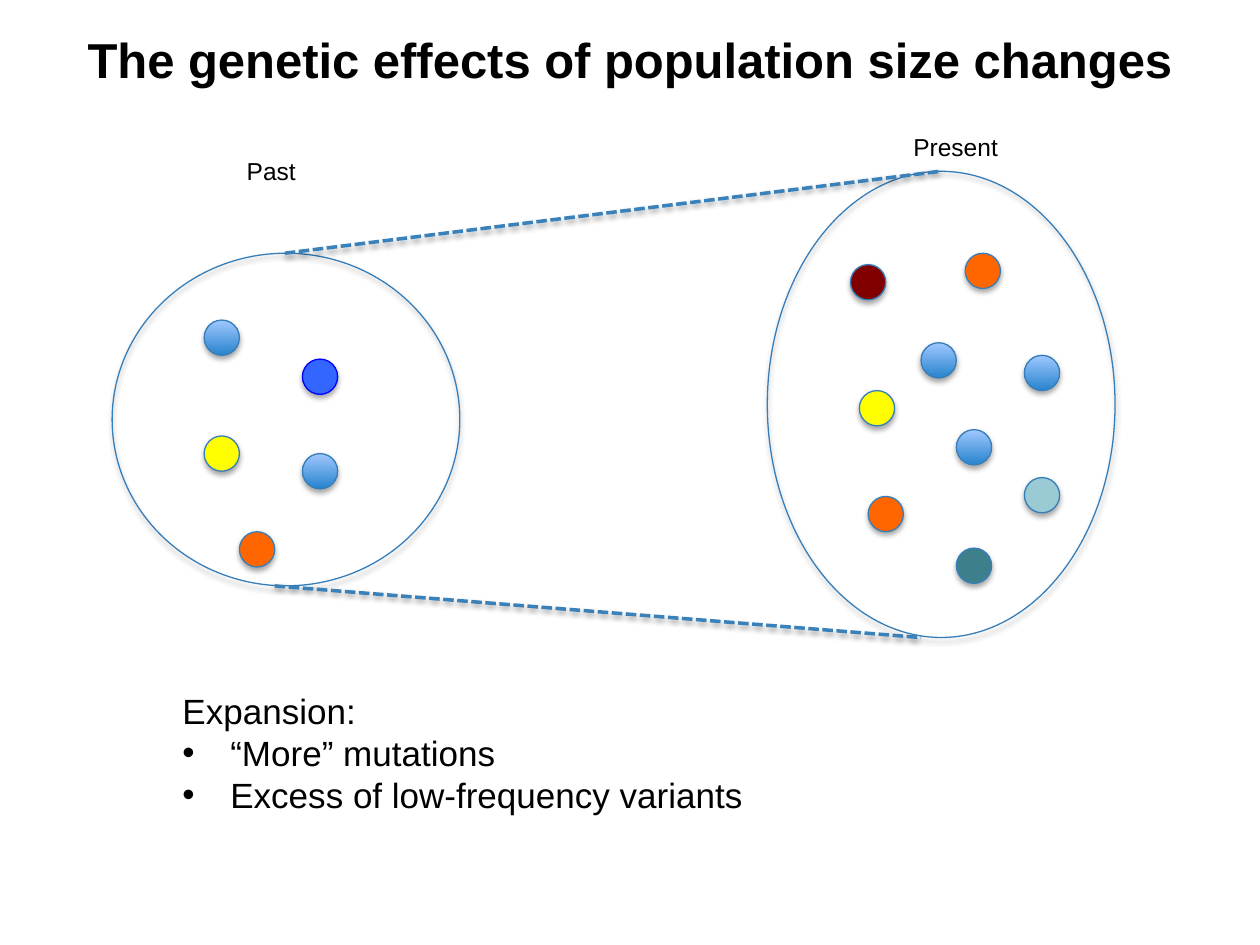
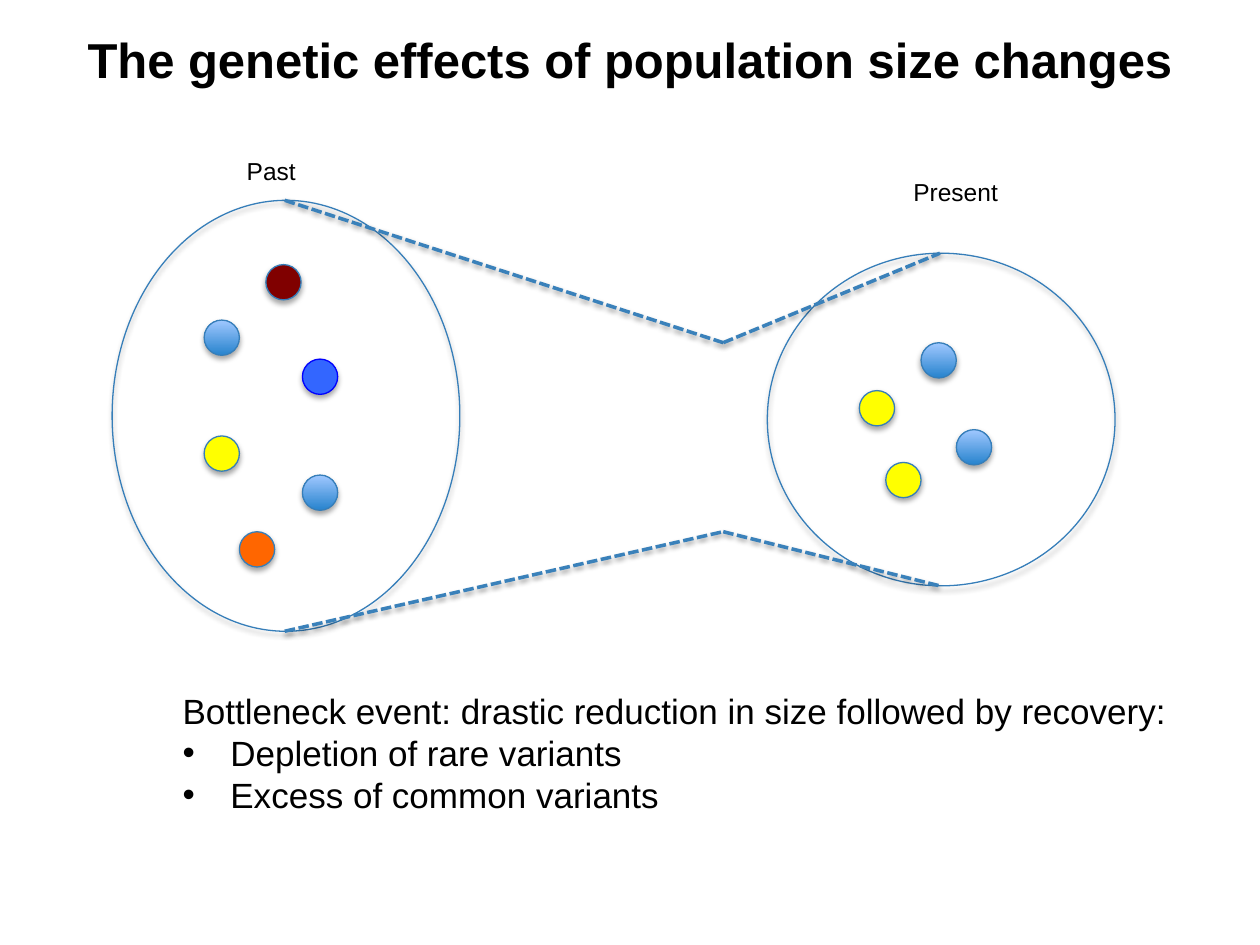
from lxml import etree
from pptx import Presentation
from pptx.dml.color import RGBColor
from pptx.enum.dml import MSO_LINE
from pptx.enum.shapes import MSO_CONNECTOR, MSO_SHAPE
from pptx.enum.text import MSO_ANCHOR, MSO_AUTO_SIZE, PP_ALIGN
from pptx.oxml.ns import qn
from pptx.util import Inches, Pt

OVAL = MSO_SHAPE.OVAL
STRAIGHT = MSO_CONNECTOR.STRAIGHT
DASH = MSO_LINE.SQUARE_DOT
CENTER = PP_ALIGN.CENTER
MIDDLE = MSO_ANCHOR.MIDDLE
GROW = MSO_AUTO_SIZE.SHAPE_TO_FIT_TEXT

FONT = "Arial"
TITLE = "The genetic effects of population size changes"
BLACK, OUTLINE, LINK = "000000", "367EB9", "3A81BA"
MAROON, ORANGE, YELLOW, BLUE = "800000", "FF6600", "FFFF00", "3366FF"
TEAL, PALE_TEAL, BLUE_EDGE = "3D808C", "9ACAD3", "0000FF"
SHADED = ("2783CD", "A0C8FF")  # gradient from bottom to top

PAST_LEFT, PRESENT_LEFT, POPULATION_WIDTH = 0.89, 6.09, 2.76
DOT_SIZE = 0.28
PAST_TOP_X, PRESENT_TOP_X = 2.26, 7.46
NECK_X = 5.74

# Variants (left, top, fill) that both slides show
PAST_DOTS = [(1.62, 2.54, SHADED), (2.4, 2.85, BLUE), (1.62, 3.46, YELLOW), (1.9, 4.22, ORANGE)]
PRESENT_DOTS = [(7.31, 2.72, SHADED), (6.82, 3.1, YELLOW), (7.59, 3.41, SHADED)]


def color(hex_string):
    return RGBColor.from_string(hex_string)


def add_shadow(shape, opacity, distance):
    """Give a shape a soft shadow straight below it."""
    effects = etree.SubElement(shape._element.spPr, qn("a:effectLst"))
    shadow = etree.SubElement(effects, qn("a:outerShdw"), blurRad=str(Pt(3.1)),
                              dist=str(Pt(distance)), dir="5400000", rotWithShape="0")
    black = etree.SubElement(shadow, qn("a:srgbClr"), val=BLACK)
    etree.SubElement(black, qn("a:alpha"), val=str(opacity * 1000))


class Deck:
    def __init__(self):
        self.presentation = Presentation()
        self.presentation.slide_width = Inches(10)
        self.presentation.slide_height = Inches(7.5)
        self.slide = None

    def add_slide(self):
        self.slide = self.presentation.slides.add_slide(self.presentation.slide_layouts[6])
        title = self.text(0, 0.14, 10, 0.66, [TITLE], 28, bold=True)
        title.word_wrap = True
        title.auto_size = MSO_AUTO_SIZE.NONE
        title.vertical_anchor = MIDDLE
        title.margin_top = title.margin_bottom = Inches(0.1)
        title.paragraphs[0].alignment = CENTER

    def text(self, left, top, width, height, lines, size, bold=False):
        """Write a first line and, below it, bulleted lines."""
        box = self.slide.shapes.add_textbox(Inches(left), Inches(top),
                                            Inches(width), Inches(height))
        frame = box.text_frame
        frame.word_wrap = False
        frame.auto_size = GROW
        for index, line in enumerate(lines):
            paragraph = frame.add_paragraph() if index else frame.paragraphs[0]
            if index:
                self.bullet(paragraph)
            run = paragraph.add_run()
            run.text = line
            run.font.name = FONT
            run.font.size = Pt(size)
            run.font.bold = bold
            run.font.color.rgb = color(BLACK)
        return frame

    def bullet(self, paragraph):
        properties = paragraph._p.get_or_add_pPr()
        properties.set("marL", str(Inches(0.38)))
        properties.set("indent", str(-Inches(0.38)))
        etree.SubElement(properties, qn("a:buFont"), typeface=FONT)
        etree.SubElement(properties, qn("a:buChar"), char="•")

    def ellipse(self, left, top, width, height, fill=None):
        shape = self.slide.shapes.add_shape(OVAL, Inches(left), Inches(top),
                                            Inches(width), Inches(height))
        if fill is None:
            shape.fill.background()
        elif fill == SHADED:
            shape.fill.gradient()
            shape.fill.gradient_angle = 90
            for stop, shade in zip(shape.fill.gradient_stops, SHADED):
                stop.color.rgb = color(shade)
        else:
            shape.fill.solid()
            shape.fill.fore_color.rgb = color(fill)
        shape.line.color.rgb = color(BLUE_EDGE if fill == BLUE else OUTLINE)
        shape.line.width = Pt(0.75)
        add_shadow(shape, 35, 1.8)

    def population(self, left, top, height, dots):
        self.ellipse(left, top, POPULATION_WIDTH, height)
        for dot_left, dot_top, fill in dots:
            self.ellipse(dot_left, dot_top, DOT_SIZE, DOT_SIZE, fill)

    def dashed_path(self, *points):
        for start, end in zip(points, points[1:]):
            ends = [Inches(value) for value in start + end]
            connector = self.slide.shapes.add_connector(STRAIGHT, *ends)
            connector.line.color.rgb = color(LINK)
            connector.line.width = Pt(2)
            connector.line.dash_style = DASH
            add_shadow(connector, 38, 1.6)

    def captions(self, present_top, summary_width, summary):
        self.text(1.86, 1.19, 0.64, 0.4, ["Past"], 14)
        self.text(7.15, present_top, 0.99, 0.4, ["Present"], 14)
        self.text(1.35, 5.42, summary_width, 1.11, summary, 20)


def main():
    deck = Deck()

    # Expansion
    deck.add_slide()
    deck.population(PAST_LEFT, 2.01, 2.64, PAST_DOTS + [(2.4, 3.6, SHADED)])
    deck.population(PRESENT_LEFT, 1.36, 3.7, PRESENT_DOTS + [
        (6.75, 2.1, MAROON), (7.59, 4.35, TEAL), (6.89, 3.94, ORANGE),
        (7.66, 2.01, ORANGE), (8.13, 2.82, SHADED), (8.13, 3.79, PALE_TEAL)])
    deck.dashed_path((PAST_TOP_X, 2.01), (PRESENT_TOP_X, 1.36))
    deck.dashed_path((2.18, 4.65), (7.31, 5.06))
    deck.captions(1, 4.66, ["Expansion:", "“More” mutations",
                            "Excess of low-frequency variants"])

    # Bottleneck
    deck.add_slide()
    deck.population(PAST_LEFT, 1.59, 3.42,
                    PAST_DOTS + [(2.11, 2.1, MAROON), (2.4, 3.77, SHADED)])
    deck.population(PRESENT_LEFT, 2.01, 2.64, PRESENT_DOTS + [(7.03, 3.67, YELLOW)])
    deck.dashed_path((PAST_TOP_X, 1.59), (NECK_X, 2.72), (PRESENT_TOP_X, 2.01))
    deck.dashed_path((PAST_TOP_X, 5.01), (NECK_X, 4.22), (PRESENT_TOP_X, 4.65))
    deck.captions(1.36, 8.08, [
        "Bottleneck event: drastic reduction in size followed by recovery:",
        "Depletion of rare variants", "Excess of common variants"])

    deck.presentation.save("out.pptx")


if __name__ == "__main__":
    main()
